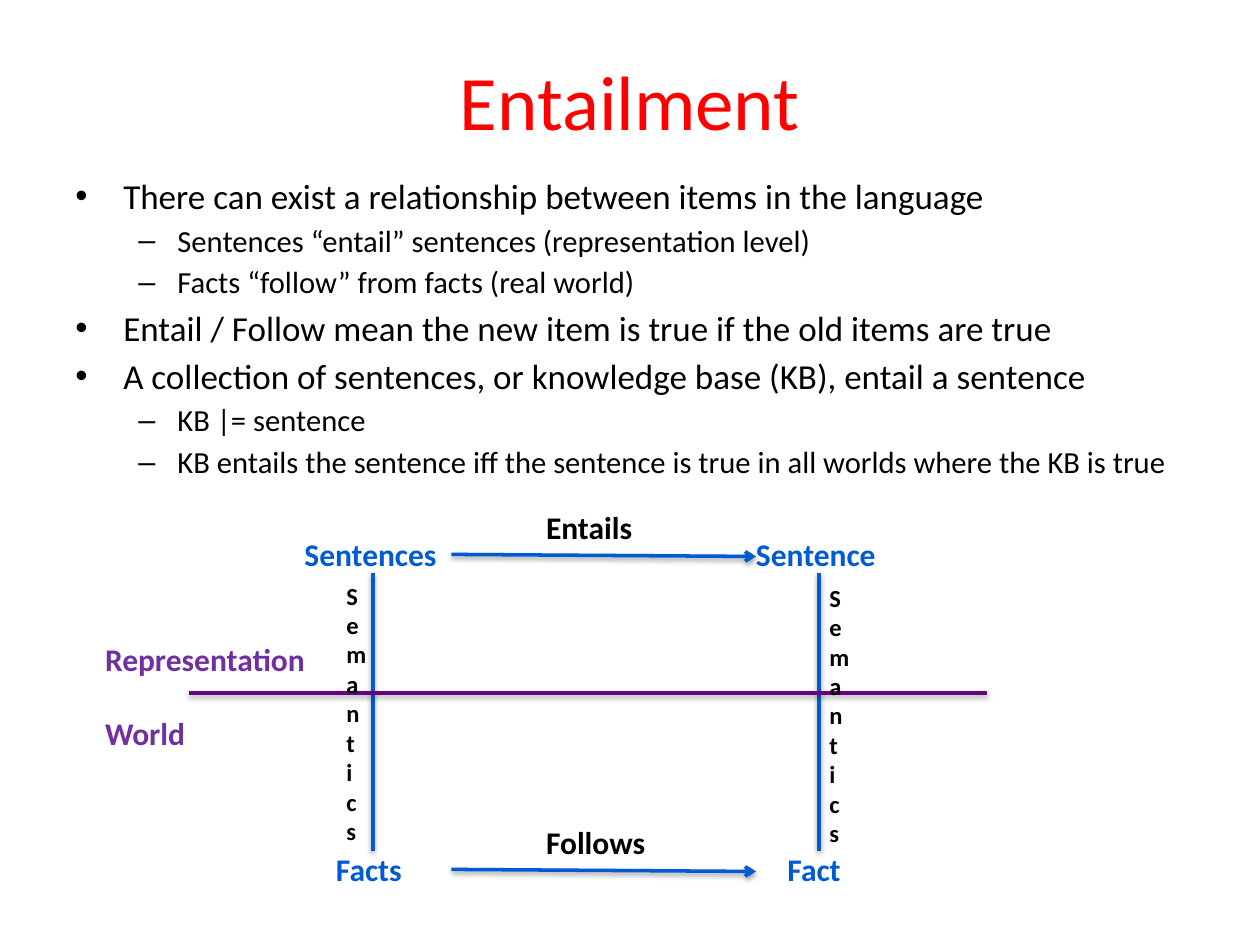
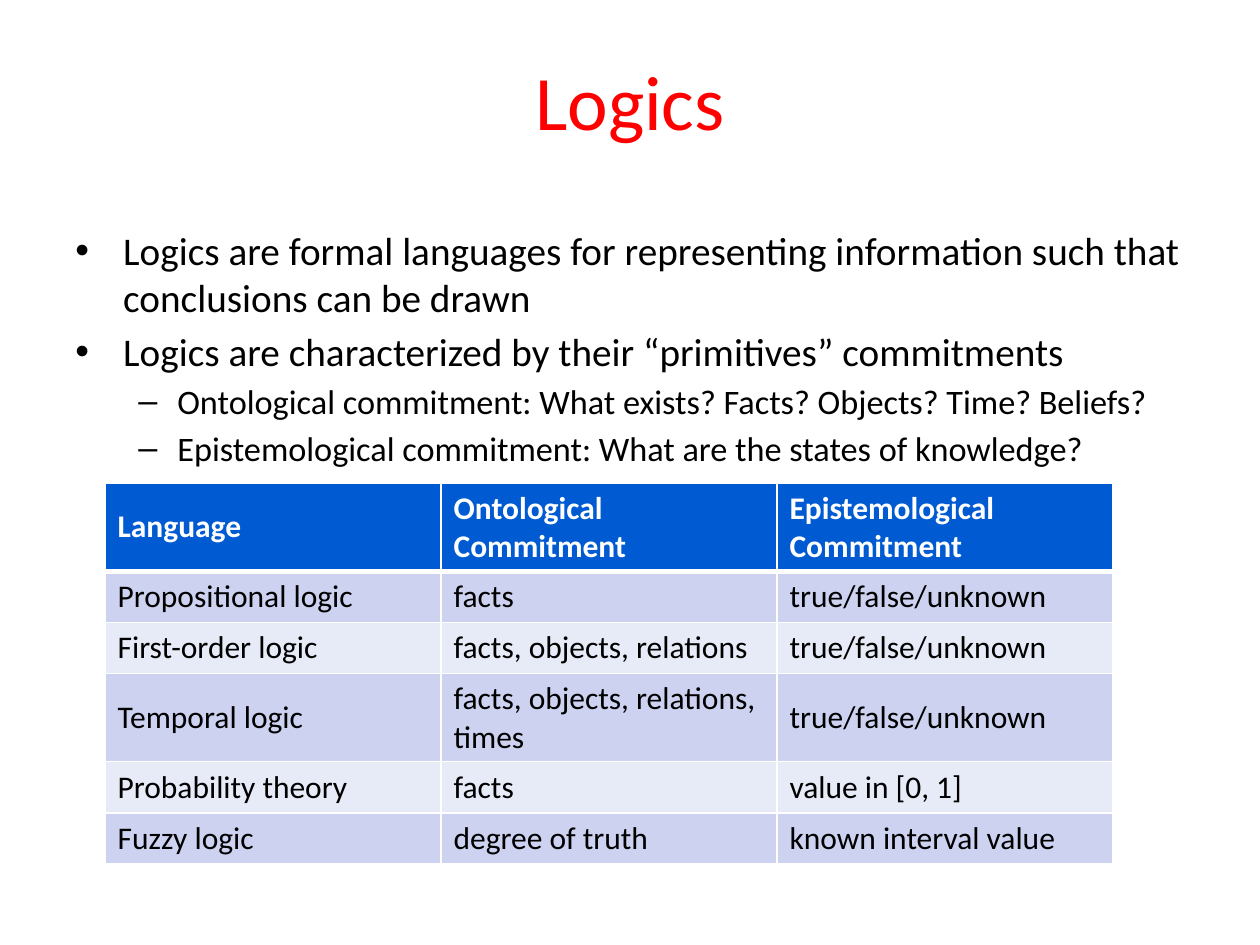
from lxml.etree import SubElement as sub
from pptx import Presentation
from pptx.dml.color import RGBColor as Rgb
from pptx.enum.shapes import MSO_CONNECTOR as Link
from pptx.enum.text import MSO_ANCHOR as Anchor, PP_ALIGN as Align
from pptx.oxml.ns import qn
from pptx.util import Inches, Pt

RED = Rgb(0xFF, 0x00, 0x00)
BLACK = Rgb(0x00, 0x00, 0x00)
WHITE = Rgb(0xFF, 0xFF, 0xFF)
BLUE = Rgb(0x00, 0x5B, 0xD3)
PLUM = Rgb(0x68, 0x00, 0x7F)
VIOLET = Rgb(0x70, 0x30, 0xA0)
DARK = Rgb(0xCC, 0xD2, 0xEF)
PALE = Rgb(0xE7, 0xEA, 0xF7)

COLS, ROWS = 120, 90
WIDTH, HEIGHT = Inches(10), Inches(7.5)
FONT = "Calibri"
LEVELS = [("•", 0.38, 0.38), ("–", 0.81, 0.31)]


class Deck:
    def __init__(self):
        self.file = Presentation()
        self.file.slide_width, self.file.slide_height = WIDTH, HEIGHT

    def x(self, col):
        return round(col * WIDTH / COLS)

    def y(self, row):
        return round(row * HEIGHT / ROWS)

    def area(self, col, row, wide, high):
        return self.x(col), self.y(row), self.x(wide), self.y(high)

    def style(self, par, size, color, bold=False):
        font = par.font
        font.name, font.size, font.bold = FONT, Pt(size), bold
        font.color.rgb = color

    def slide(self, title):
        self.page = self.file.slides.add_slide(self.file.slide_layouts[6])
        frame = self.page.shapes.add_textbox(*self.area(6, 2, 108, 15)).text_frame
        frame.word_wrap = True
        frame.vertical_anchor = Anchor.MIDDLE
        par = frame.paragraphs[0]
        par.text, par.alignment = title, Align.CENTER
        self.style(par, 44, RED)

    def body(self, area, sizes, items):
        frame = self.page.shapes.add_textbox(*self.area(*area)).text_frame
        frame.word_wrap = True
        for i, (level, text) in enumerate(items):
            par = frame.add_paragraph() if i else frame.paragraphs[0]
            par.text, par.level = text, level
            par.space_before = Pt(0.17 * sizes[level])
            mark, left, hang = LEVELS[level]
            props = par._p.get_or_add_pPr()
            props.set("marL", str(Inches(left)))
            props.set("indent", str(-Inches(hang)))
            sub(props, qn("a:buFont"), typeface="Arial")
            sub(props, qn("a:buChar"), char=mark)
            self.style(par, sizes[level], BLACK)

    def label(self, text, col, row, wide, color=BLACK, size=18, high=3.6):
        box = self.page.shapes.add_textbox(*self.area(col, row, wide, high))
        frame = box.text_frame
        frame.word_wrap = True
        frame.margin_left = frame.margin_right = 0
        frame.margin_top = frame.margin_bottom = 0
        par = frame.paragraphs[0]
        par.text = text
        self.style(par, size, color, True)
        return box

    def wire(self, start, end, color=BLUE, arrow=False, top=None, base=None):
        wire = self.page.shapes.add_connector(
            Link.STRAIGHT, self.x(start[0]), self.y(start[1]),
            self.x(end[0]), self.y(end[1]))
        if top:
            wire.begin_connect(top, 2)
        if base:
            wire.end_connect(base, 0)
        wire.line.color.rgb, wire.line.width = color, Pt(2)
        if arrow:
            sub(wire.get_or_add_ln(), qn("a:tailEnd"), type="arrow")
        glow = sub(wire.element.spPr, qn("a:effectLst"))
        shade = sub(glow, qn("a:outerShdw"), blurRad=str(Pt(3.1)),
                    dist=str(Pt(1.6)), dir="5400000", rotWithShape="0")
        tint = sub(shade, qn("a:srgbClr"), val=str(BLACK))
        sub(tint, qn("a:alpha"), val="38000")

    def edge(self, cell, side, width):
        line = sub(cell._tc.get_or_add_tcPr(), qn("a:ln" + side), w=str(Pt(width)))
        fill = sub(line, qn("a:solidFill"))
        sub(fill, qn("a:srgbClr"), val=str(WHITE))

    def table(self, col, row, wide, high, data):
        area = self.area(col, row, wide, high * len(data))
        grid = self.page.shapes.add_table(len(data), len(data[0]), *area).table
        for i, texts in enumerate(data):
            for j, text in enumerate(texts):
                cell = grid.cell(i, j)
                cell.text, cell.vertical_anchor = text, Anchor.MIDDLE
                for side in "LRTB":
                    thick = (i, side) in [(0, "B"), (1, "T")]
                    self.edge(cell, side, 3 if thick else 1)
                cell.fill.solid()
                head = i == 0
                cell.fill.fore_color.rgb = BLUE if head else DARK if i % 2 else PALE
                self.style(cell.text_frame.paragraphs[0], 18,
                           WHITE if head else BLACK, head)


def entail(deck):
    deck.slide("Entailment")
    deck.body((6, 16, 111, 32), (20, 17.5), [
        (0, "There can exist a relationship between items in the language"),
        (1, "Sentences “entail” sentences (representation level)"),
        (1, "Facts “follow” from facts (real world)"),
        (0, "Entail / Follow mean the new item is true if the old items are true"),
        (0, "A collection of sentences, or knowledge base (KB), entail a sentence"),
        (1, "KB |= sentence"),
        (1, "KB entails the sentence iff the sentence is true in all worlds "
            "where the KB is true"),
    ])
    many = deck.label("Sentences", 29, 51, 13, BLUE)
    deck.label("Sentence", 72, 51, 13, BLUE)
    facts = deck.label("Facts", 32, 81, 7, BLUE)
    fact = deck.label("Fact", 75, 81, 6, BLUE)
    deck.wire((35.5, 54.6), (35.5, 81), top=many, base=facts)
    deck.wire((78, 54.6), (78, 81), base=fact)
    for row in (52.8, 82.8):
        deck.wire((43, row), (72, row + 0.2), arrow=True)
    deck.wire((18, 66), (94, 66), PLUM)
    deck.label("Representation", 10, 61, 21, VIOLET)
    deck.label("World", 10, 68, 9, VIOLET)
    deck.label("Entails", 52, 48.4, 10)
    deck.label("Follows", 52, 78.4, 10)
    for col, row in ((33, 55.3), (79, 55.5)):
        deck.label("Semantics", col, row, 1, size=14, high=25.4)


def logics(deck):
    deck.slide("Logics")
    deck.body((6, 21, 108, 30), (22.4, 19.6), [
        (0, "Logics are formal languages for representing information such that "
            "conclusions can be drawn"),
        (0, "Logics are characterized by their “primitives” commitments"),
        (1, "Ontological commitment: What exists? Facts? Objects? Time? Beliefs?"),
        (1, "Epistemological commitment: What are the states of knowledge?"),
    ])
    known = "true/false/unknown"
    deck.table(10, 46, 96, 4.87, [
        ("Language", "Ontological Commitment", "Epistemological Commitment"),
        ("Propositional logic", "facts", known),
        ("First-order logic", "facts, objects, relations", known),
        ("Temporal logic", "facts, objects, relations, times", known),
        ("Probability theory", "facts", "value in [0, 1]"),
        ("Fuzzy logic", "degree of truth", "known interval value"),
    ])


def main():
    deck = Deck()
    entail(deck)
    logics(deck)
    deck.file.save("out.pptx")


if __name__ == "__main__":
    main()
